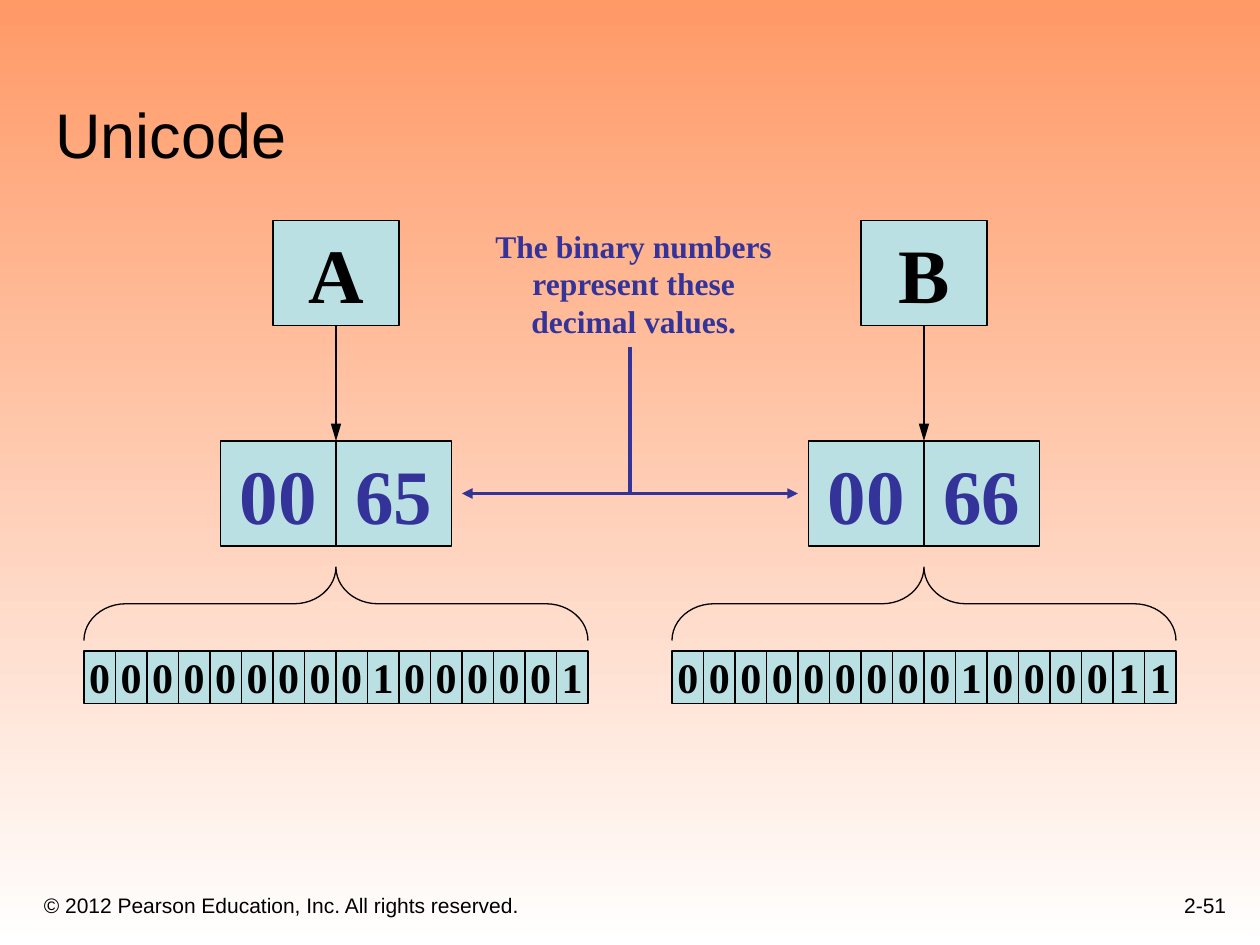
"""Build a slide showing how Unicode stores the letters A and B."""
from lxml.etree import SubElement
from pptx import Presentation
from pptx.dml.color import RGBColor
from pptx.enum.shapes import MSO_CONNECTOR, MSO_SHAPE
from pptx.enum.text import MSO_ANCHOR, PP_ALIGN
from pptx.oxml.ns import qn
from pptx.util import Inches, Pt

ORANGE = RGBColor(0xFF, 0x99, 0x66)
WHITE = RGBColor(0xFF, 0xFF, 0xFF)
BLACK = RGBColor(0x00, 0x00, 0x00)
TEAL = RGBColor(0xBB, 0xE0, 0xE3)
INDIGO = RGBColor(0x33, 0x33, 0x99)
SANS, SERIF = "Arial", "Times New Roman"

TITLE = "Unicode"
COPYRIGHT = "© 2012 Pearson Education, Inc. All rights reserved."
PAGE_NUMBER = "2-51"
CALLOUT = ["The binary numbers", "represent these", "decimal values."]
LETTERS = [
    {"center": 8 / 3, "letter": "A", "decimals": ["00", "65"], "bits": "0000000001000001"},
    {"center": 22 / 3, "letter": "B", "decimals": ["00", "66"], "bits": "0000000001000011"},
]

LETTER_TOP, DECIMAL_TOP, BIT_TOP = 1.75, 3.5, 31 / 6
BOX_HEIGHT, BIT_HEIGHT = 5 / 6, 5 / 12
LETTER_WIDTH, DECIMAL_WIDTH, BIT_WIDTH = 1, 11 / 12, 0.25
BRACE_TOP, BRACE_DEPTH, BRACE_SPAN = 4.5, 7 / 12, 4
CALLOUT_CENTER, STEM_TOP, ARROW_Y = 5, 2.75, 47 / 12

deck = Presentation()
deck.slide_width, deck.slide_height = Inches(10), Inches(7.5)
page = deck.slides.add_slide(deck.slide_layouts[6])


def add_text(box, text, size, font=SERIF, color=BLACK, bold=True, align=PP_ALIGN.CENTER,
             anchor=MSO_ANCHOR.MIDDLE, wrap=False):
    frame = box.text_frame
    frame.word_wrap = wrap
    frame.vertical_anchor = anchor
    frame.text = text
    for para in frame.paragraphs:
        para.alignment = align
        para.font.name, para.font.size = font, Pt(size)
        para.font.bold, para.font.color.rgb = bold, color


def add_label(text, left, top, width, height, **text_format):
    box = page.shapes.add_textbox(Inches(left), Inches(top), Inches(width), Inches(height))
    add_text(box, text, **text_format)


def add_cells(texts, center, top, width, height, **text_format):
    start = center - width * len(texts) / 2
    for index, text in enumerate(texts):
        cell = page.shapes.add_shape(MSO_SHAPE.RECTANGLE, Inches(start + index * width),
                                     Inches(top), Inches(width), Inches(height))
        cell.shadow.inherit = False
        cell.fill.solid()
        cell.fill.fore_color.rgb = TEAL
        cell.line.color.rgb, cell.line.width = BLACK, Pt(0.75)
        add_text(cell, text, **text_format)


def add_line(start, end, color, width, arrows=(), length="med"):
    line = page.shapes.add_connector(MSO_CONNECTOR.STRAIGHT, *map(Inches, start + end))
    line.line.color.rgb, line.line.width = color, Pt(width)
    outline = line.line._get_or_add_ln()
    for arrow in arrows:
        SubElement(outline, qn(arrow), type="triangle", len=length)
    SubElement(line._element.spPr, qn("a:effectLst"))


def add_brace(center):
    left = center - BRACE_DEPTH / 2
    top = BRACE_TOP + (BRACE_DEPTH - BRACE_SPAN) / 2
    brace = page.shapes.add_shape(MSO_SHAPE.RIGHT_BRACE, Inches(left), Inches(top),
                                  Inches(BRACE_DEPTH), Inches(BRACE_SPAN))
    brace.rotation = 270
    brace.adjustments[0] = 0.57
    brace.shadow.inherit = False
    brace.fill.background()
    brace.line.color.rgb, brace.line.width = BLACK, Pt(0.75)


backdrop = page.background.fill
backdrop.gradient()
backdrop.gradient_angle = 270
for stop, color in zip(backdrop.gradient_stops, (ORANGE, WHITE)):
    stop.color.rgb = color

plain = {"font": SANS, "bold": False, "anchor": MSO_ANCHOR.BOTTOM, "wrap": True}
add_label(COPYRIGHT, 0.25, 6.91, 6.08, 0.42, size=12, align=PP_ALIGN.LEFT, **plain)
add_label(PAGE_NUMBER, 7.75, 6.83, 2.08, 0.5, size=12, align=PP_ALIGN.RIGHT, **plain)
add_label(TITLE, 0.34, 0.33, 9.42, 1.08, size=36, align=PP_ALIGN.LEFT, **plain)

for item in LETTERS:
    center = item["center"]
    add_cells([item["letter"]], center, LETTER_TOP, LETTER_WIDTH, BOX_HEIGHT, size=44)
    add_cells(item["decimals"], center, DECIMAL_TOP, DECIMAL_WIDTH, BOX_HEIGHT,
              size=44, color=INDIGO)
    add_line((center, LETTER_TOP + BOX_HEIGHT), (center, DECIMAL_TOP), BLACK, 1.5,
             ["a:tailEnd"], length="lg")
    add_cells(item["bits"], center, BIT_TOP, BIT_WIDTH, BIT_HEIGHT, size=24)
    add_brace(center)

add_label("\n".join(CALLOUT), 3.73, 1.75, 2.6, 1, size=18, color=INDIGO,
          anchor=MSO_ANCHOR.TOP)
add_line((CALLOUT_CENTER, STEM_TOP), (CALLOUT_CENTER, ARROW_Y), INDIGO, 2)
add_line((11 / 3, ARROW_Y), (19 / 3, ARROW_Y), INDIGO, 2, ["a:headEnd", "a:tailEnd"])

deck.save("out.pptx")
